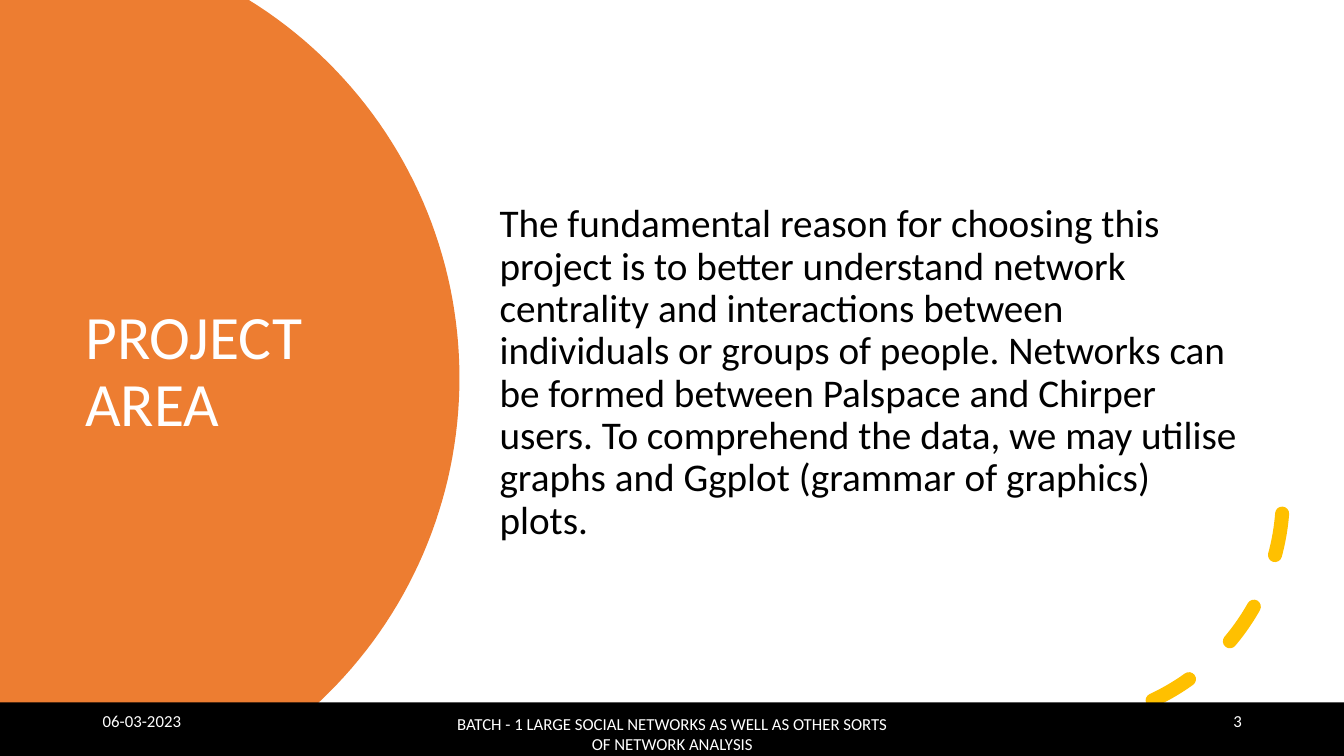
import math
from pptx import Presentation, util as u
from pptx.dml.color import RGBColor
from pptx.enum import dml, shapes, text
from pptx.oxml.ns import qn

COLOURS = {"orange": "ED7D31", "gold": "FFC000", "black": "000000", "white": "FFFFFF"}
FONT = "Calibri"
WIDTH, HEIGHT = 33.87, 19.05
DISC_X, DISC_RADIUS, DISC_STEPS = 0.38, 11.2, 80
BAR_TOP, BAR_HEIGHT = 17.7, 1.35
ARC_BOX = (20.98, 6.83, 11.35, 11.35)

LEFT, CENTER, RIGHT = text.PP_ALIGN.LEFT, text.PP_ALIGN.CENTER, text.PP_ALIGN.RIGHT
BODY = (
    "The fundamental reason for choosing this project is to better understand "
    "network centrality and interactions between individuals or groups of people. "
    "Networks can be formed between Palspace and Chirper users. To comprehend the "
    "data, we may utilise graphs and Ggplot (grammar of graphics) plots."
)
FOOTER = "BATCH - 1 LARGE SOCIAL NETWORKS AS WELL AS OTHER SORTS OF NETWORK ANALYSIS"
TEXTS = [
    ("PROJECT AREA", (1.9, 3.2, 8.89, 12.4), 44, "white", LEFT, 0.9, 0),
    (BODY, (12.34, 1.65, 19.18, 15.52), 28, "black", LEFT, 0.9, 10),
    ("06-03-2023", (2.34, 17.65, 7.62, 1.02), 12, "white", LEFT, 1.0, 0),
    (FOOTER, (11.23, 17.98, 11.43, 1.02), 12, "white", CENTER, 1.0, 0),
    ("3", (23.93, 17.65, 7.62, 1.02), 12, "white", RIGHT, 1.0, 0),
]


def colour(name):
    return RGBColor.from_string(COLOURS[name])


def lengths(values):
    return [u.Cm(value) for value in values]


def fill_plain(shape, name):
    shape.shadow.inherit = False
    shape.fill.solid()
    shape.fill.fore_color.rgb = colour(name)
    shape.line.fill.background()


def add_disc(page):
    middle = HEIGHT / 2
    limit = math.asin(middle / DISC_RADIUS)
    angles = [limit * (2 * step / DISC_STEPS - 1) for step in range(DISC_STEPS + 1)]
    edge = [
        lengths((DISC_X + DISC_RADIUS * math.cos(a), middle + DISC_RADIUS * math.sin(a)))
        for a in angles
    ]
    builder = page.shapes.build_freeform(0, 0)
    builder.add_line_segments(edge + [lengths((0, HEIGHT))], close=True)
    fill_plain(builder.convert_to_shape(), "orange")


def add_dashed_arc(page):
    arc = page.shapes.add_shape(shapes.MSO_SHAPE.ARC, *lengths(ARC_BOX))
    arc.shadow.inherit = False
    arc.fill.background()
    arc.line.color.rgb = colour("gold")
    arc.line.width = u.Pt(10)
    arc.line.dash_style = dml.MSO_LINE.DASH
    properties = arc.element.spPr
    properties.find(qn("a:xfrm")).set("flipV", "1")
    properties.find(qn("a:ln")).set("cap", "rnd")


def add_bar(page):
    bar = page.shapes.add_shape(
        shapes.MSO_SHAPE.RECTANGLE, *lengths((0, BAR_TOP, WIDTH, BAR_HEIGHT))
    )
    fill_plain(bar, "black")


def add_text(page, words, place, size, name, align, spacing, before):
    box = page.shapes.add_textbox(*lengths(place))
    frame = box.text_frame
    frame.word_wrap = True
    frame.vertical_anchor = text.MSO_ANCHOR.MIDDLE
    frame.text = words
    para = frame.paragraphs[0]
    para.alignment = align
    para.line_spacing = spacing
    para.space_before = u.Pt(before)
    span = para.runs[0]
    span.font.name = FONT
    span.font.size = u.Pt(size)
    span.font.color.rgb = colour(name)


def main():
    deck = Presentation()
    deck.slide_width, deck.slide_height = lengths((WIDTH, HEIGHT))
    page = deck.slides.add_slide(deck.slide_layouts[6])
    add_disc(page)
    add_dashed_arc(page)
    add_bar(page)
    for item in TEXTS:
        add_text(page, *item)
    deck.save("out.pptx")


if __name__ == "__main__":
    main()
